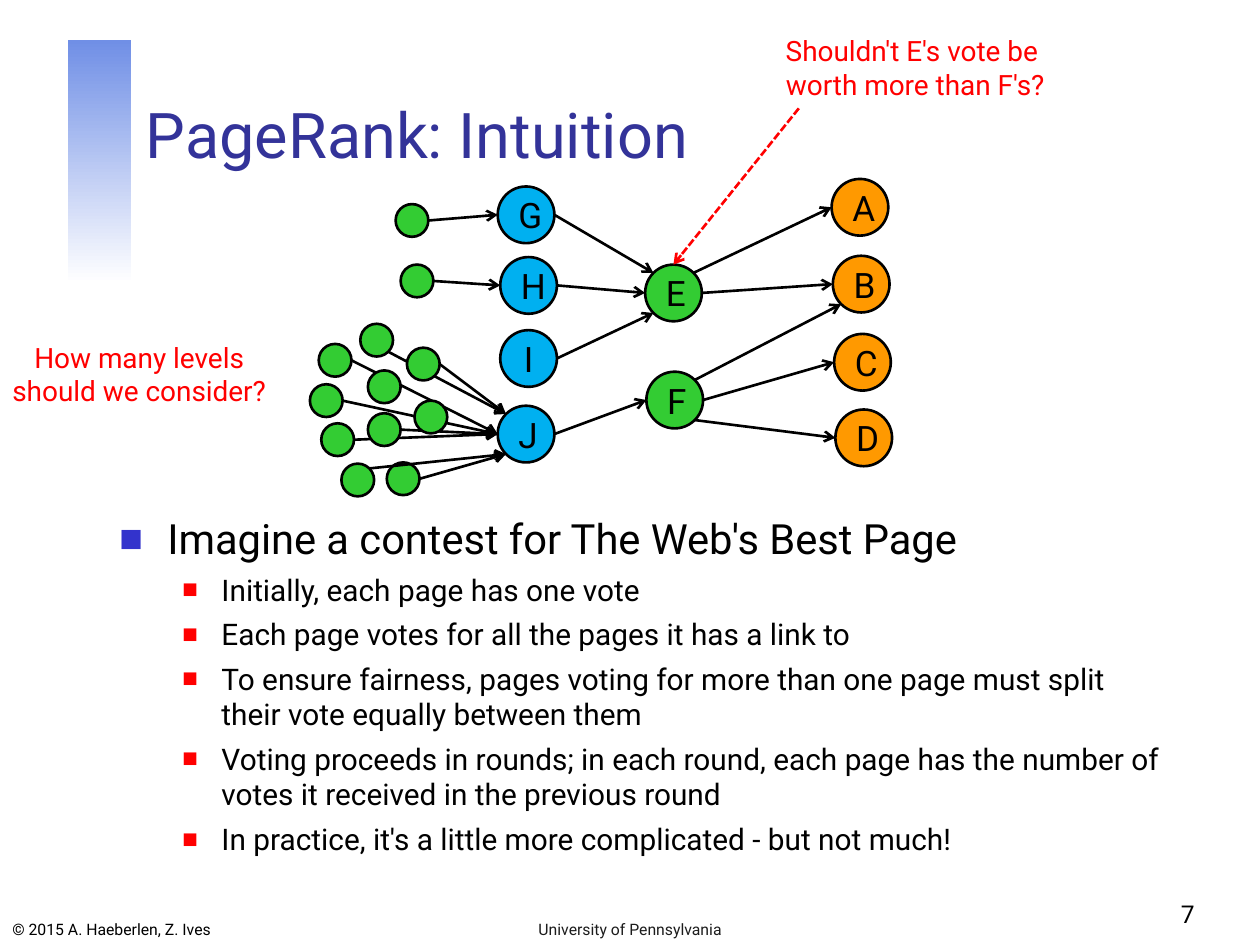
from math import cos, radians, sin

from lxml import etree
from pptx import Presentation
from pptx.dml.color import RGBColor
from pptx.enum.dml import MSO_LINE
from pptx.enum.shapes import MSO_CONNECTOR, MSO_SHAPE
from pptx.enum.text import MSO_ANCHOR, PP_ALIGN
from pptx.oxml.ns import qn
from pptx.util import Inches, Pt

LEFT, CENTER, RIGHT = PP_ALIGN.LEFT, PP_ALIGN.CENTER, PP_ALIGN.RIGHT
TOP, MIDDLE, BOTTOM = MSO_ANCHOR.TOP, MSO_ANCHOR.MIDDLE, MSO_ANCHOR.BOTTOM
STRAIGHT = MSO_CONNECTOR.STRAIGHT
FONT = "Roboto"
COLORS = {
    "black": "000000", "footer": "1C1C1C", "title": "333399", "red": "FF0000",
    "bullet": "3333CC", "orange": "FF9900", "green": "33CC33", "blue": "00B0F0",
    "band": "708FE6", "white": "FFFFFF",
}

CONTEST = "Imagine a contest for The Web's Best Page"
RULES = [
    "Initially, each page has one vote",
    "Each page votes for all the pages it has a link to",
    "To ensure fairness, pages voting for more than one page must split "
    "their vote equally between them",
    "Voting proceeds in rounds; in each round, each page has the number of "
    "votes it received in the previous round",
    "In practice, it's a little more complicated - but not much!",
]

# Left and top of every page circle, by level of the graph
PAGE_SIZE, VOTER_SIZE = 0.45, 0.26
PAGES = {
    "orange": {"A": (6.6, 1.42), "B": (6.61, 2.03), "C": (6.62, 2.65), "D": (6.63, 3.25)},
    "green": {"E": (5.12, 2.1), "F": (5.13, 2.95)},
    "blue": {"G": (3.95, 1.48), "H": (3.97, 2.04), "I": (3.97, 2.62), "J": (3.95, 3.22)},
}
VOTERS_BEHIND = {
    "g1": (3.14, 1.62), "h1": (3.18, 2.1), "j1": (2.53, 2.73), "j2": (2.46, 3.05),
    "j3": (2.55, 3.36), "j4": (2.71, 3.68), "j5": (2.86, 2.57), "j6": (3.07, 3.67),
}
VOTERS_IN_FRONT = {
    "j7": (2.92, 2.94), "j8": (3.23, 2.76), "j9": (3.29, 3.18), "j10": (2.92, 3.28),
}

# Voting page and the side it leaves from, page voted for and the side reached
VOTES = [
    "E NE A W", "E E B W", "F NE B SW", "F E C W", "F SE D W",
    "G E E NW", "H E E W", "I E E SW", "J E F W",
    "g1 E G W", "h1 E H W", "j8 E J NW", "j1 E J W", "j6 E J SW",
    "j10 E J W", "j4 NE J SW", "j2 E J W", "j5 SE J NW", "j3 E J W",
]
ANGLES = {"E": 0, "SE": 45, "SW": 135, "W": 180, "NW": 225, "NE": 315}


def rgb(name):
    return RGBColor.from_string(COLORS[name])


def write(paragraph, text, size, color="black", align=LEFT):
    paragraph.text = text
    paragraph.alignment = align
    for run in paragraph.runs:
        run.font.name = FONT
        run.font.size = Pt(size)
        run.font.color.rgb = rgb(color)


def add_text(slide, box, text, size, anchor=TOP, wrap=True, **format_args):
    frame = slide.shapes.add_textbox(*map(Inches, box)).text_frame
    frame.word_wrap = wrap
    frame.vertical_anchor = anchor
    write(frame.paragraphs[0], text, size, **format_args)
    return frame


def add_bullet(paragraph, color, percent, margin, hang):
    props = paragraph._p.get_or_add_pPr()
    props.set("marL", str(Inches(margin)))
    props.set("indent", str(-Inches(hang)))
    bullet_color = etree.SubElement(props, qn("a:buClr"))
    etree.SubElement(bullet_color, qn("a:srgbClr"), val=COLORS[color])
    etree.SubElement(props, qn("a:buSzPct"), val=str(percent * 1000))
    etree.SubElement(props, qn("a:buFont"), typeface=FONT)
    etree.SubElement(props, qn("a:buChar"), char="■")


def add_circle(slide, corner, size, color, label=""):
    circle = slide.shapes.add_shape(MSO_SHAPE.OVAL, *map(Inches, (*corner, size, size)))
    circle.shadow.inherit = False
    circle.fill.solid()
    circle.fill.fore_color.rgb = rgb(color)
    circle.line.color.rgb = rgb("black")
    circle.line.width = Pt(1.5)
    if label:
        circle.text_frame.vertical_anchor = MIDDLE
        write(circle.text_frame.paragraphs[0], label, 20, align=CENTER)
    return circle


def add_arrow(slide, start, end, color="black"):
    arrow = slide.shapes.add_connector(STRAIGHT, *map(Inches, (*start, *end)))
    arrow.line.color.rgb = rgb(color)
    arrow.line.width = Pt(1.5)
    etree.SubElement(arrow.line._get_or_add_ln(), qn("a:tailEnd"), type="arrow")
    etree.SubElement(arrow._element.spPr, qn("a:effectLst"))
    return arrow


def rim(corner, size, side):
    """Point on a circle's edge at a compass side."""
    angle = radians(ANGLES[side])
    return (corner[0] + size / 2 * (1 + cos(angle)),
            corner[1] + size / 2 * (1 + sin(angle)))


def add_graph(slide):
    """Draw pages, voters and votes; return the page circles by letter."""
    outlines, circles = {}, {}
    for color, level in PAGES.items():
        for letter, corner in level.items():
            circles[letter] = add_circle(slide, corner, PAGE_SIZE, color, letter)
            outlines[letter] = (corner, PAGE_SIZE)
    for voter, corner in {**VOTERS_BEHIND, **VOTERS_IN_FRONT}.items():
        outlines[voter] = (corner, VOTER_SIZE)
    for corner in VOTERS_BEHIND.values():
        add_circle(slide, corner, VOTER_SIZE, "green")
    for vote in VOTES:
        source, leaving, target, reached = vote.split()
        add_arrow(slide, rim(*outlines[source], leaving), rim(*outlines[target], reached))
    for corner in VOTERS_IN_FRONT.values():
        add_circle(slide, corner, VOTER_SIZE, "green")
    return circles


def add_band(slide):
    band = slide.shapes.add_shape(MSO_SHAPE.RECTANGLE, *map(Inches, (0.54, 0.32, 0.5, 1.93)))
    band.shadow.inherit = False
    band.line.fill.background()
    band.fill.gradient()
    band.fill.gradient_angle = 270
    for stop, color, position in zip(band.fill.gradient_stops, ("band", "white"), (0, 1)):
        stop.color.rgb = rgb(color)
        stop.position = position


def main():
    deck = Presentation()
    deck.slide_width, deck.slide_height = Inches(10), Inches(7.5)
    slide = deck.slides.add_slide(deck.slide_layouts[6])

    add_band(slide)
    add_text(slide, (0, 7.22, 1.94, 0.28), "© 2015 A. Haeberlen, Z. Ives", 9, BOTTOM)
    add_text(slide, (1.06, 0.33, 8.52, 1.08), "PageRank: Intuition", 36, BOTTOM, color="title")

    body = add_text(slide, (0.85, 4.02, 8.5, 3), CONTEST, 23.8)
    add_bullet(body.paragraphs[0], "bullet", 60, 0.38, 0.38)
    for rule in RULES:
        paragraph = body.add_paragraph()
        paragraph.level = 1
        paragraph.space_before = Pt(5)
        add_bullet(paragraph, "red", 55, 0.81, 0.31)
        write(paragraph, rule, 17)

    add_text(slide, (7.5, 6.92, 2.08, 0.5), "7", 14, BOTTOM, align=RIGHT)
    add_text(slide, (3.42, 7.22, 3.16, 0.28), "University of Pennsylvania", 9, BOTTOM,
             color="footer", align=CENTER)

    pages = add_graph(slide)
    add_text(slide, (6.06, 0.22, 2.41, 0.64), "Shouldn't E's vote be \nworth more than F's?", 16,
             wrap=False, color="red", align=CENTER)
    pointer = add_arrow(slide, (6.34, 0.86), (5.34, 2.1), "red")
    pointer.line.dash_style = MSO_LINE.SQUARE_DOT
    pointer.end_connect(pages["E"], 0)
    add_text(slide, (-0.05, 2.65, 2.31, 0.64), "How many levels\nshould we consider?", 16,
             wrap=False, color="red", align=CENTER)

    deck.save("out.pptx")


if __name__ == "__main__":
    main()
